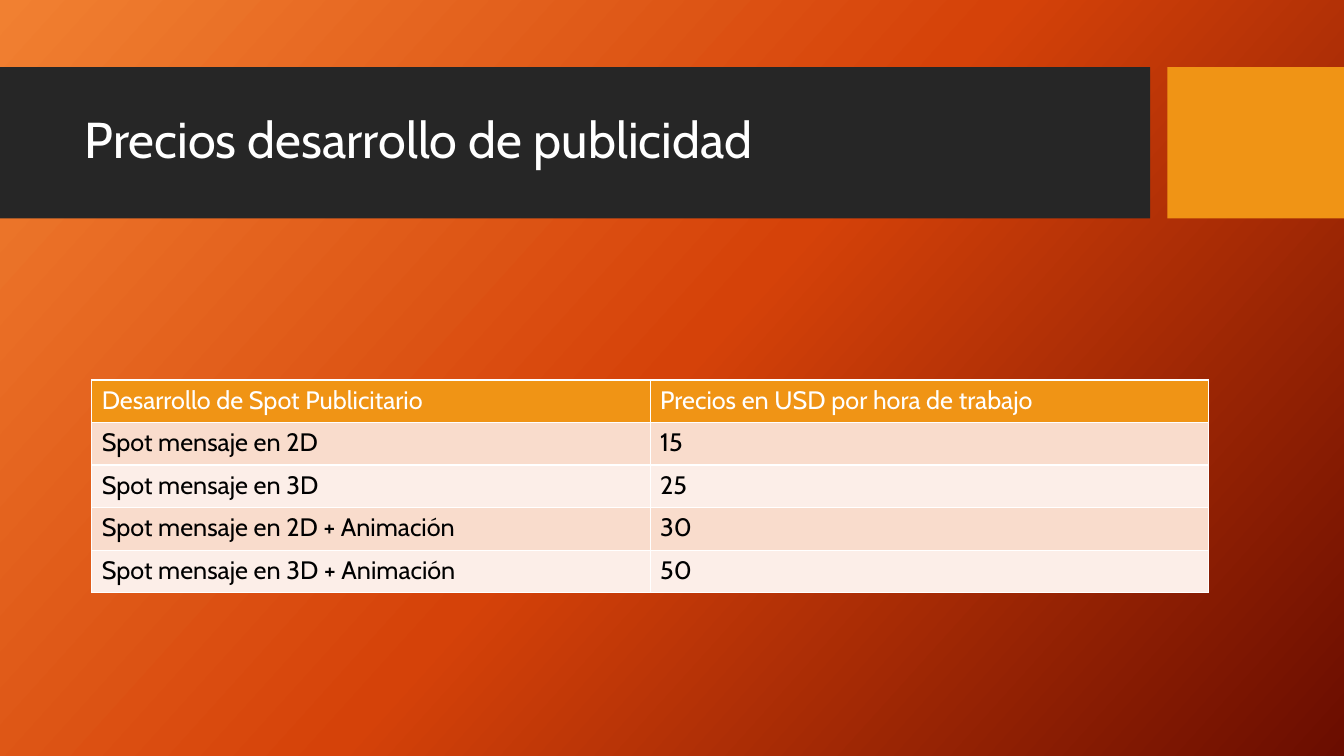
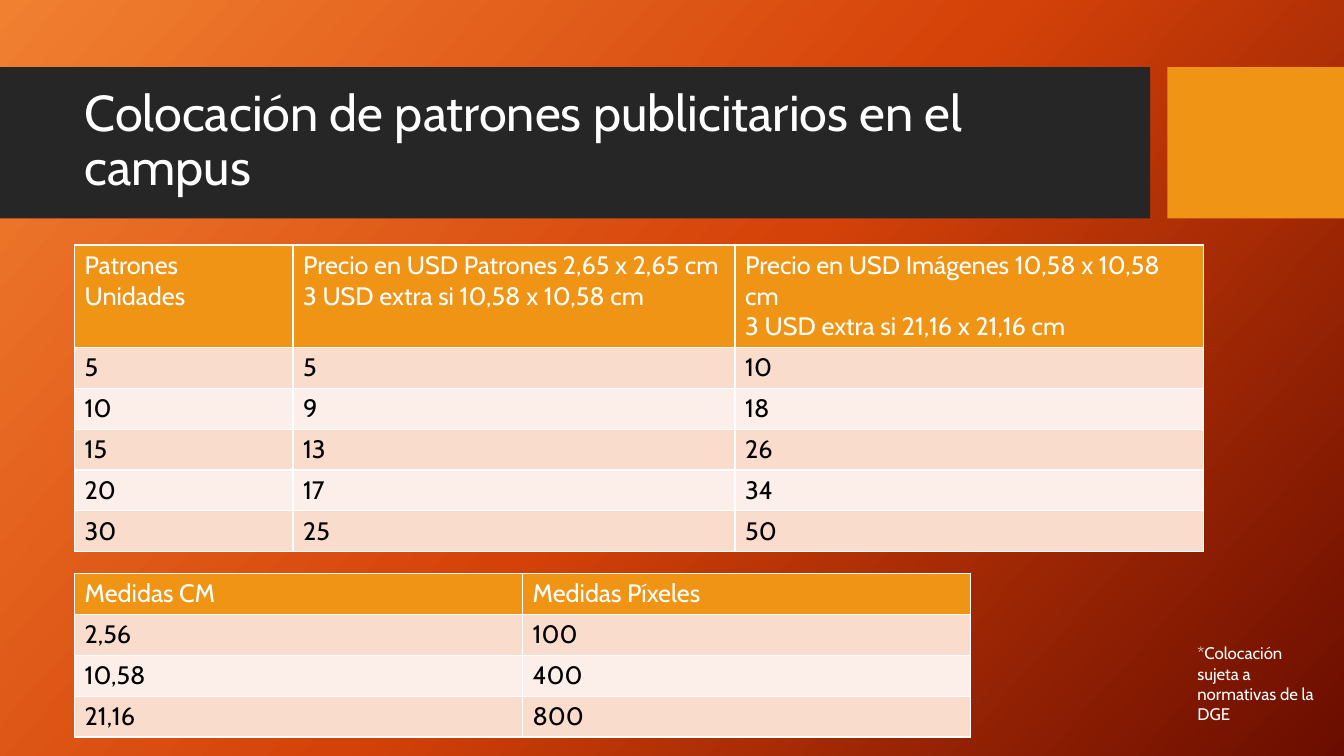
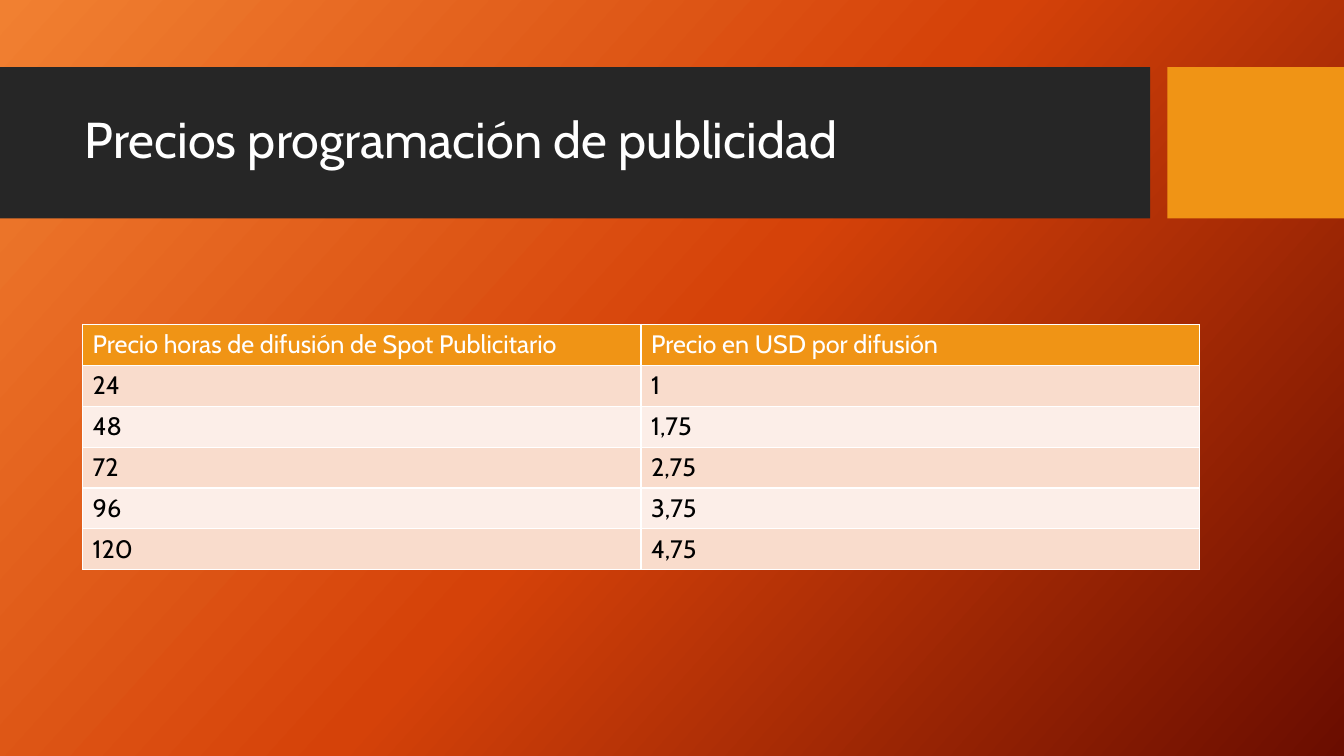
from copy import deepcopy

from lxml.etree import SubElement
from pptx import Presentation
from pptx.dml.color import RGBColor
from pptx.enum.shapes import MSO_SHAPE
from pptx.enum.text import MSO_ANCHOR, MSO_AUTO_SIZE, PP_ALIGN
from pptx.oxml.ns import qn
from pptx.util import Pt

FONT = "Cabin"
WHITE = RGBColor(0xFF, 0xFF, 0xFF)
BLACK = RGBColor(0x00, 0x00, 0x00)
CHARCOAL = RGBColor(0x26, 0x26, 0x26)
AMBER = RGBColor(0xF0, 0x94, 0x15)
PEACH = RGBColor(0xF9, 0xDC, 0xCC)
CREAM = RGBColor(0xFC, 0xEE, 0xE8)
ORANGE = RGBColor(0xF1, 0x80, 0x31)
RUST = RGBColor(0xD5, 0x42, 0x09)
MAROON = RGBColor(0x6A, 0x0D, 0x00)

TITLE_ONLY = 5
BAND_TOP, BAND_HEIGHT = 48, 108
ROW_HEIGHT = 29.2


class Deck:
    def __init__(self):
        self.presentation = Presentation()
        self.presentation.slide_width = Pt(960)
        self.presentation.slide_height = Pt(540)
        self.slide = None
        self.set_background()

    def set_background(self):
        master = self.presentation.slide_master
        fill = master.background.fill
        fill.gradient()
        fill.gradient_angle = 318
        stops = master.element.find(".//" + qn("a:gsLst"))
        stops.insert(1, deepcopy(stops[0]))
        for stop, position, color in zip(fill.gradient_stops, (0, 0.5, 1), (ORANGE, RUST, MAROON)):
            stop.position = position
            stop.color.rgb = color

    def style(self, text_frame, size, color):
        for paragraph in text_frame.paragraphs:
            paragraph.font.name = FONT
            paragraph.font.size = Pt(size)
            paragraph.font.color.rgb = color

    def add_slide(self, title):
        layout = self.presentation.slide_layouts[TITLE_ONLY]
        self.slide = self.presentation.slides.add_slide(layout)
        self.add_band(0, 821.6, CHARCOAL)
        self.add_band(833.8, 126.2, AMBER)
        self.add_title(title)

    def add_band(self, left, width, color):
        shape = self.slide.shapes.add_shape(
            MSO_SHAPE.RECTANGLE, Pt(left), Pt(BAND_TOP), Pt(width), Pt(BAND_HEIGHT))
        shape.shadow.inherit = False
        shape.fill.solid()
        shape.fill.fore_color.rgb = color
        shape.line.fill.background()
        self.slide.shapes.title.element.addprevious(shape.element)

    def add_title(self, text):
        title = self.slide.shapes.title
        title.left, title.top, title.width, title.height = Pt(53.3), Pt(59), Pt(756.7), Pt(85)
        text_frame = title.text_frame
        text_frame.text = text
        text_frame.auto_size = MSO_AUTO_SIZE.NONE
        text_frame.vertical_anchor = MSO_ANCHOR.MIDDLE
        paragraph = text_frame.paragraphs[0]
        paragraph.alignment = PP_ALIGN.LEFT
        paragraph.line_spacing = 0.9
        self.style(text_frame, 36, WHITE)

    def add_table(self, left, top, widths, rows, row_height=ROW_HEIGHT, header_height=None):
        heights = [header_height or row_height] + [row_height] * (len(rows) - 1)
        table = self.slide.shapes.add_table(
            len(rows), len(widths), Pt(left), Pt(top), Pt(sum(widths)), Pt(sum(heights))).table
        for column, width in zip(table.columns, widths):
            column.width = Pt(width)
        for index, (row, height, texts) in enumerate(zip(table.rows, heights, rows)):
            row.height = Pt(height)
            fill_color = (PEACH if index % 2 else CREAM) if index else AMBER
            for cell, text in zip(row.cells, texts):
                cell.text = text
                self.style(cell.text_frame, 18, BLACK if index else WHITE)
                self.add_borders(cell)
                cell.fill.solid()
                cell.fill.fore_color.rgb = fill_color

    def add_borders(self, cell):
        properties = cell._tc.get_or_add_tcPr()
        for side in ("a:lnL", "a:lnR", "a:lnT", "a:lnB"):
            line = SubElement(properties, qn(side), w=str(Pt(1)))
            solid = SubElement(line, qn("a:solidFill"))
            SubElement(solid, qn("a:srgbClr"), val=str(WHITE))

    def add_note(self, left, top, width, height, text):
        text_frame = self.slide.shapes.add_textbox(
            Pt(left), Pt(top), Pt(width), Pt(height)).text_frame
        text_frame.word_wrap = True
        text_frame.auto_size = MSO_AUTO_SIZE.SHAPE_TO_FIT_TEXT
        text_frame.text = text
        self.style(text_frame, 12, WHITE)


def main():
    deck = Deck()

    deck.add_slide("Precios desarrollo de publicidad")
    deck.add_table(65.5, 271.4, [398.9] * 2, [
        ("Desarrollo de Spot Publicitario", "Precios en USD por hora de trabajo"),
        ("Spot mensaje en 2D", "15"),
        ("Spot mensaje en 3D", "25"),
        ("Spot mensaje en 2D + Animación", "30"),
        ("Spot mensaje en 3D + Animación", "50"),
    ], row_height=30.4)

    deck.add_slide("Colocación de patrones publicitarios en el campus")
    deck.add_table(53.3, 175, [156, 315.8, 334.6], [
        ("Patrones Unidades",
         "Precio en USD Patrones 2,65 x 2,65 cm\n3 USD extra si 10,58 x 10,58 cm",
         "Precio en USD Imágenes 10,58 x 10,58 cm\n3 USD extra si 21,16 x 21,16 cm"),
        ("5", "5", "10"),
        ("10", "9", "18"),
        ("15", "13", "26"),
        ("20", "17", "34"),
        ("30", "25", "50"),
    ], header_height=72.2)
    deck.add_table(53.3, 409.7, [320] * 2, [
        ("Medidas CM", "Medidas Píxeles"),
        ("2,56", "100"),
        ("10,58", "400"),
        ("21,16", "800"),
    ])
    deck.add_note(848.2, 455.8, 103, 65.5, "*Colocación sujeta a normativas de la DGE")

    deck.add_slide("Precios programación de publicidad")
    deck.add_table(59, 231.8, [398.9] * 2, [
        ("Precio horas de difusión de Spot Publicitario", "Precio en USD por difusión"),
        ("24", "1"),
        ("48", "1,75"),
        ("72", "2,75"),
        ("96", "3,75"),
        ("120", "4,75"),
    ])

    deck.presentation.save("out.pptx")


if __name__ == "__main__":
    main()
